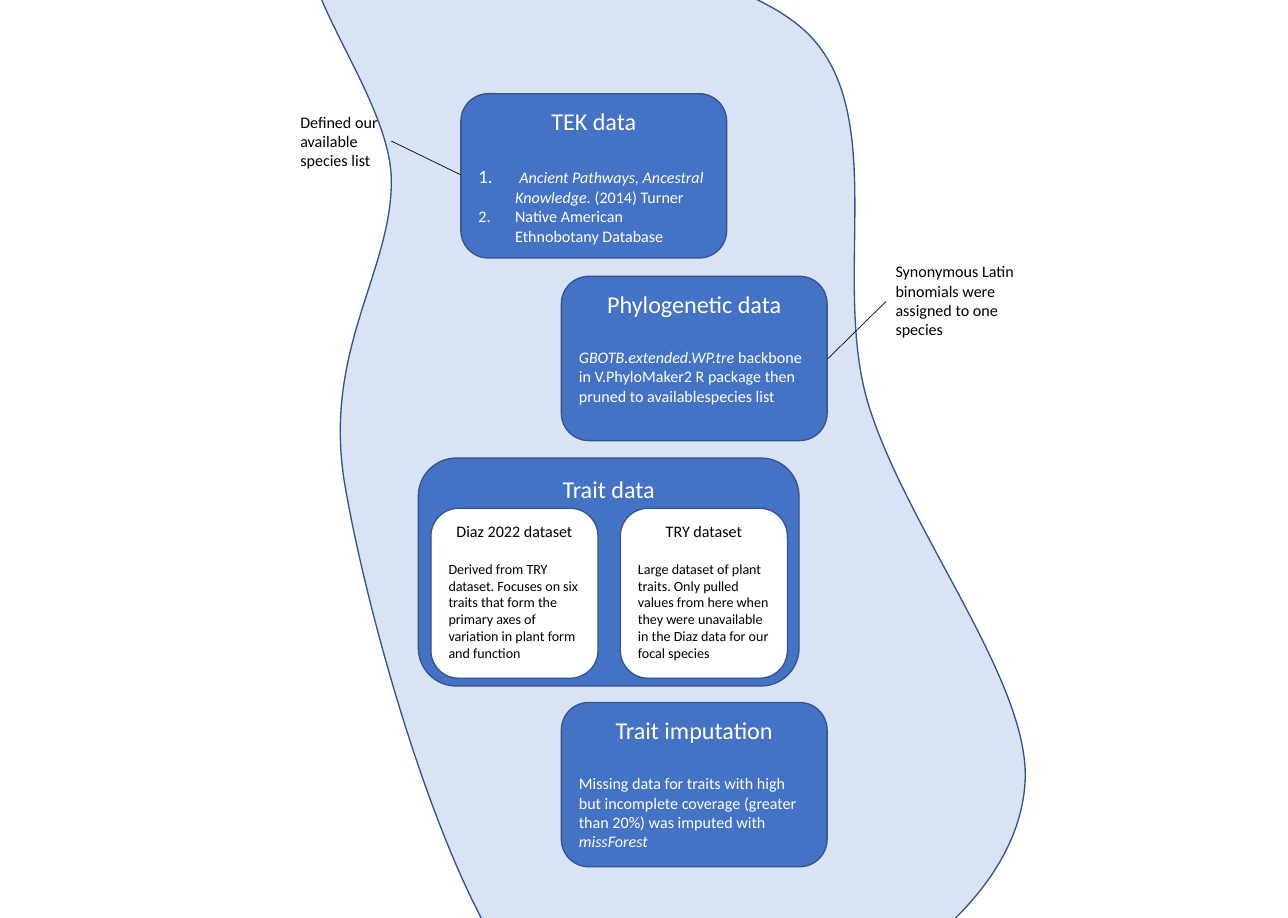
"""Build a slide of a river-shaped data workflow with cards and side notes."""
from dataclasses import dataclass

from lxml.etree import SubElement
from pptx import Presentation
from pptx.dml.color import RGBColor
from pptx.enum.shapes import MSO_CONNECTOR as Connector, MSO_SHAPE as Shape
from pptx.enum.text import MSO_ANCHOR as Anchor, PP_ALIGN as Align
from pptx.oxml.ns import qn
from pptx.util import Inches, Pt

FONT = "Calibri"
BLUE, PALE, OUTLINE = "4472C4", "DAE3F3", "325491"
WHITE, BLACK = "FFFFFF", "000000"
LINE_HEIGHT = 1.22
LIST_INDENT = 0.38

Point = tuple[float, float]


@dataclass(frozen=True)
class Words:
    text: str
    size: float = 12
    italic: bool = False


@dataclass(frozen=True)
class Card:
    left: float
    top: float
    width: float
    height: float
    title: str
    body: tuple[tuple[Words, ...], ...] = ()
    title_size: float = 18
    fill: str = BLUE
    ink: str = WHITE
    numbered: bool = False


@dataclass(frozen=True)
class Note:
    left: float
    top: float
    width: float
    height: float
    text: str
    start: Point
    end: Point


def data_card(left: float, top: float, title: str, *body: tuple[Words, ...], numbered: bool = False) -> Card:
    return Card(left, top, 2.75, 1.7, title, body, numbered=numbered)


def dataset_card(left: float, title: str, text: str) -> Card:
    return Card(left, 5.26, 1.73, 1.76, title, ((Words(text, 10.5),),), 12, WHITE, BLACK)


RIVER_LEFT, RIVER_TOP, RIVER_WIDTH, RIVER_HEIGHT = 3.21, -0.82, 7.41, 11.59
RIVER_START = (3.42, -0.76)
RIVER_CURVES = (
    ((2.71, -0.5), (4.02, 0.88), (4.05, 1.84)),
    ((4.07, 2.8), (3.33, 3.62), (3.57, 5.02)),
    ((3.81, 6.43), (4.64, 9.39), (5.5, 10.27)),
    ((6.35, 11.15), (7.85, 10.67), (8.7, 10.3)),
    ((9.55, 9.93), (10.56, 9.1), (10.61, 8.08)),
    ((10.66, 7.05), (9.37, 5.46), (8.98, 4.16)),
    ((8.6, 2.86), (9.23, 1.12), (8.31, 0.3)),
    ((7.38, -0.52), (4.13, -1.01), RIVER_START),
)

DATA_CARDS = (
    data_card(
        4.77, 0.97, "TEK data",
        (Words(" ", 14), Words("Ancient Pathways, Ancestral Knowledge.", italic=True), Words(" (2014) Turner")),
        (Words("Native American Ethnobotany Database"),),
        numbered=True,
    ),
    data_card(
        5.81, 2.86, "Phylogenetic data",
        (Words("GBOTB.extended.WP.tre", italic=True),
         Words(" backbone in V.PhyloMaker2 R package then pruned to availablespecies list")),
    ),
    data_card(
        5.81, 7.27, "Trait imputation",
        (Words("Missing data for traits with high but incomplete coverage (greater than 20%) was imputed with "),
         Words("missForest", italic=True)),
    ),
)

TRAIT_CARDS = (
    Card(4.33, 4.74, 3.94, 2.36, "Trait data"),
    dataset_card(4.46, "Diaz 2022 dataset",
                 "Derived from TRY dataset. Focuses on six traits that form the primary axes of "
                 "variation in plant form and function"),
    dataset_card(6.42, "TRY dataset",
                 "Large dataset of plant traits. Only pulled values from here when they were "
                 "unavailable in the Diaz data for our focal species"),
)

NOTES = (
    Note(3.01, 1.11, 1.04, 0.71, "Defined our available species list", (4.05, 1.46), (4.77, 1.81)),
    Note(9.17, 2.66, 1.44, 0.91, "Synonymous Latin binomials were assigned to one species",
         (9.17, 3.12), (8.57, 3.71)),
)


def color(value: str) -> RGBColor:
    return RGBColor.from_string(value)


def paint(shape, fill: str) -> None:
    shape.shadow.inherit = False
    shape.fill.solid()
    shape.fill.fore_color.rgb = color(fill)
    shape.line.color.rgb = color(OUTLINE)
    shape.line.width = Pt(1)


def add_words(para, words: Words, ink: str) -> None:
    span = para.add_run()
    span.text = words.text
    span.font.name = FONT
    span.font.size = Pt(words.size)
    if words.italic:
        span.font.italic = True
    span.font.color.rgb = color(ink)


def number_paragraph(para) -> None:
    properties = para._p.get_or_add_pPr()
    properties.set("marL", str(Inches(LIST_INDENT)))
    properties.set("indent", str(-Inches(LIST_INDENT)))
    SubElement(properties, qn("a:buFont"), typeface="+mj-lt")
    SubElement(properties, qn("a:buAutoNum"), type="arabicPeriod")


def add_step(outline, tag: str, *points: Point) -> None:
    step = SubElement(outline, qn(tag))
    for x, y in points:
        SubElement(step, qn("a:pt"), x=str(Inches(x - RIVER_LEFT)), y=str(Inches(y - RIVER_TOP)))


def draw_river(shapes) -> None:
    builder = shapes.build_freeform(Inches(RIVER_START[0]), Inches(RIVER_START[1]))
    builder.add_line_segments([(Inches(x), Inches(y)) for *_, (x, y) in RIVER_CURVES])
    river = builder.convert_to_shape()
    river.left, river.top = Inches(RIVER_LEFT), Inches(RIVER_TOP)
    river.width, river.height = Inches(RIVER_WIDTH), Inches(RIVER_HEIGHT)
    outline = next(river._element.iter(qn("a:path")))
    for step in list(outline):
        outline.remove(step)
    outline.set("w", str(river.width))
    outline.set("h", str(river.height))
    add_step(outline, "a:moveTo", RIVER_START)
    for curve in RIVER_CURVES:
        add_step(outline, "a:cubicBezTo", *curve)
    add_step(outline, "a:close")
    paint(river, PALE)


def draw_card(shapes, card: Card) -> None:
    box = shapes.add_shape(Shape.ROUNDED_RECTANGLE, Inches(card.left), Inches(card.top),
                           Inches(card.width), Inches(card.height))
    paint(box, card.fill)
    frame = box.text_frame
    frame.word_wrap = True
    frame.vertical_anchor = Anchor.TOP
    heading = frame.paragraphs[0]
    heading.alignment = Align.CENTER
    add_words(heading, Words(card.title, card.title_size), card.ink)
    if card.body:
        heading.space_after = Pt(card.title_size * LINE_HEIGHT)
    for line in card.body:
        para = frame.add_paragraph()
        para.alignment = Align.LEFT
        if card.numbered:
            number_paragraph(para)
        for words in line:
            add_words(para, words, card.ink)


def draw_note(shapes, note: Note) -> None:
    box = shapes.add_textbox(Inches(note.left), Inches(note.top), Inches(note.width), Inches(note.height))
    box.text_frame.word_wrap = True
    add_words(box.text_frame.paragraphs[0], Words(note.text), BLACK)
    ends = (Inches(value) for value in note.start + note.end)
    leader = shapes.add_connector(Connector.STRAIGHT, *ends)
    leader.line.color.rgb = color(BLACK)
    leader.line.width = Pt(0.5)
    SubElement(leader._element.spPr, qn("a:effectLst"))


def main() -> None:
    deck = Presentation()
    deck.slide_width, deck.slide_height = Inches(13.33), Inches(9.5)
    page = deck.slides.add_slide(deck.slide_layouts.get_by_name("Blank"))
    draw_river(page.shapes)
    for card in DATA_CARDS:
        draw_card(page.shapes, card)
    trait_group = page.shapes.add_group_shape()
    for card in TRAIT_CARDS:
        draw_card(trait_group.shapes, card)
    for note in NOTES:
        draw_note(page.shapes, note)
    deck.save("out.pptx")


main()
